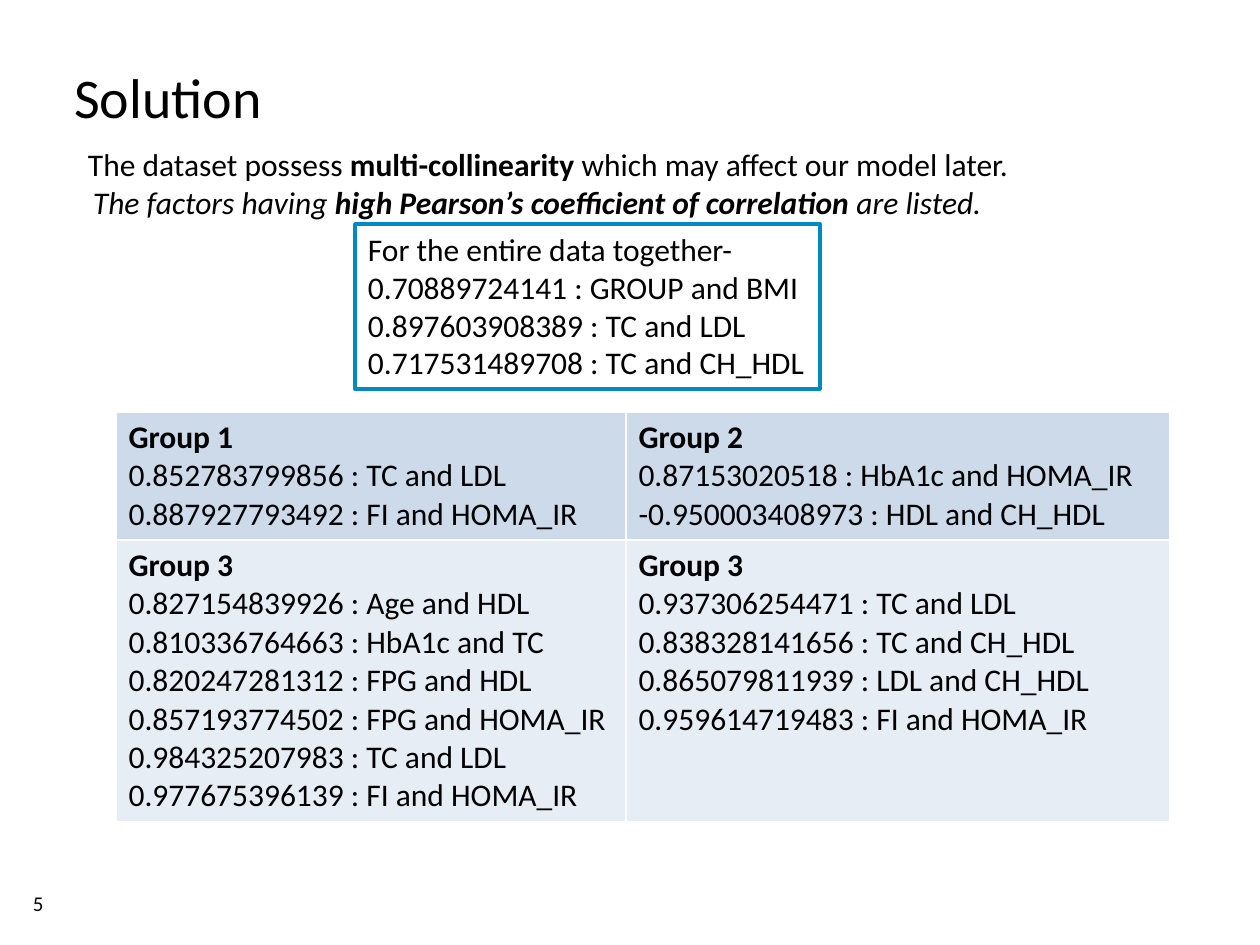
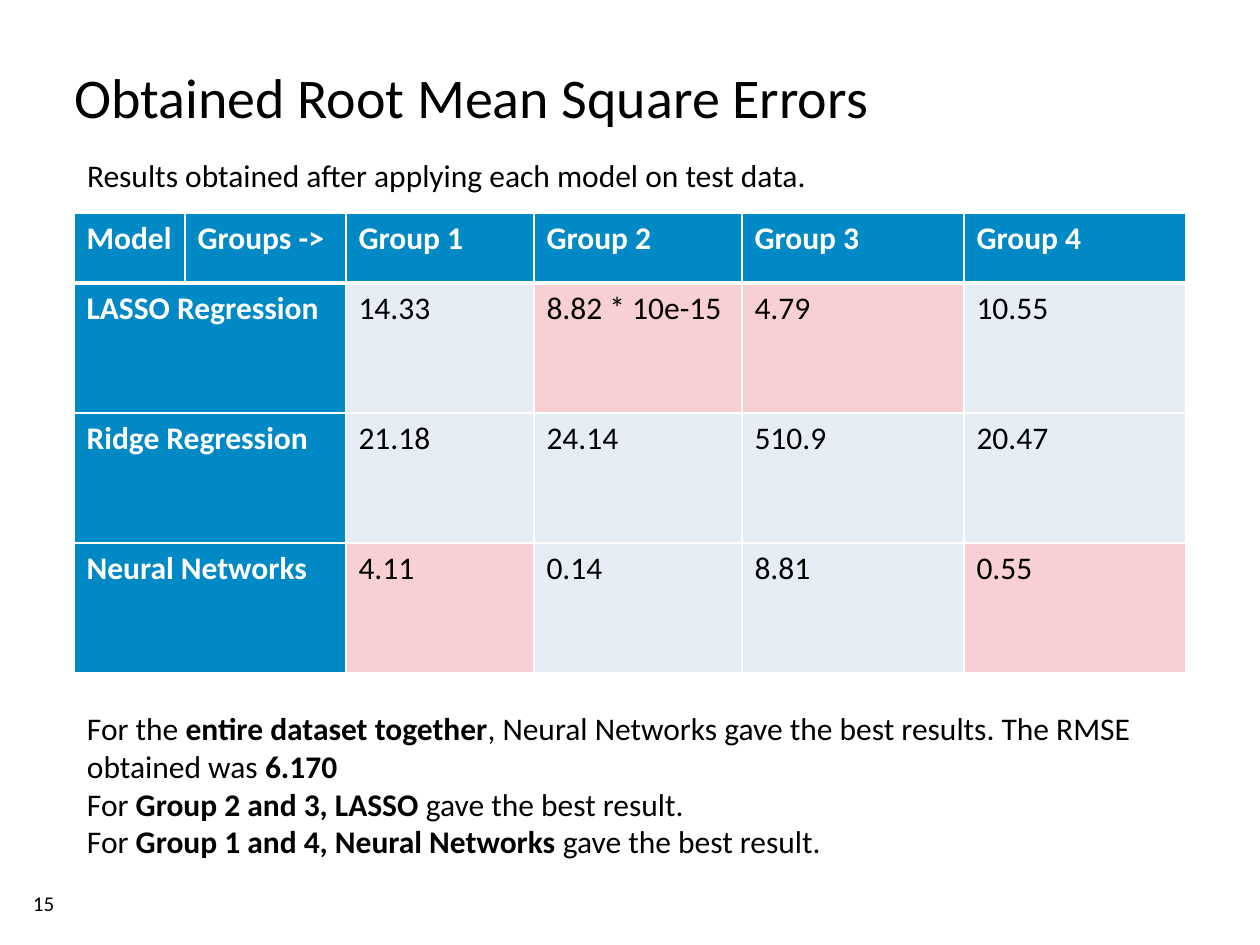
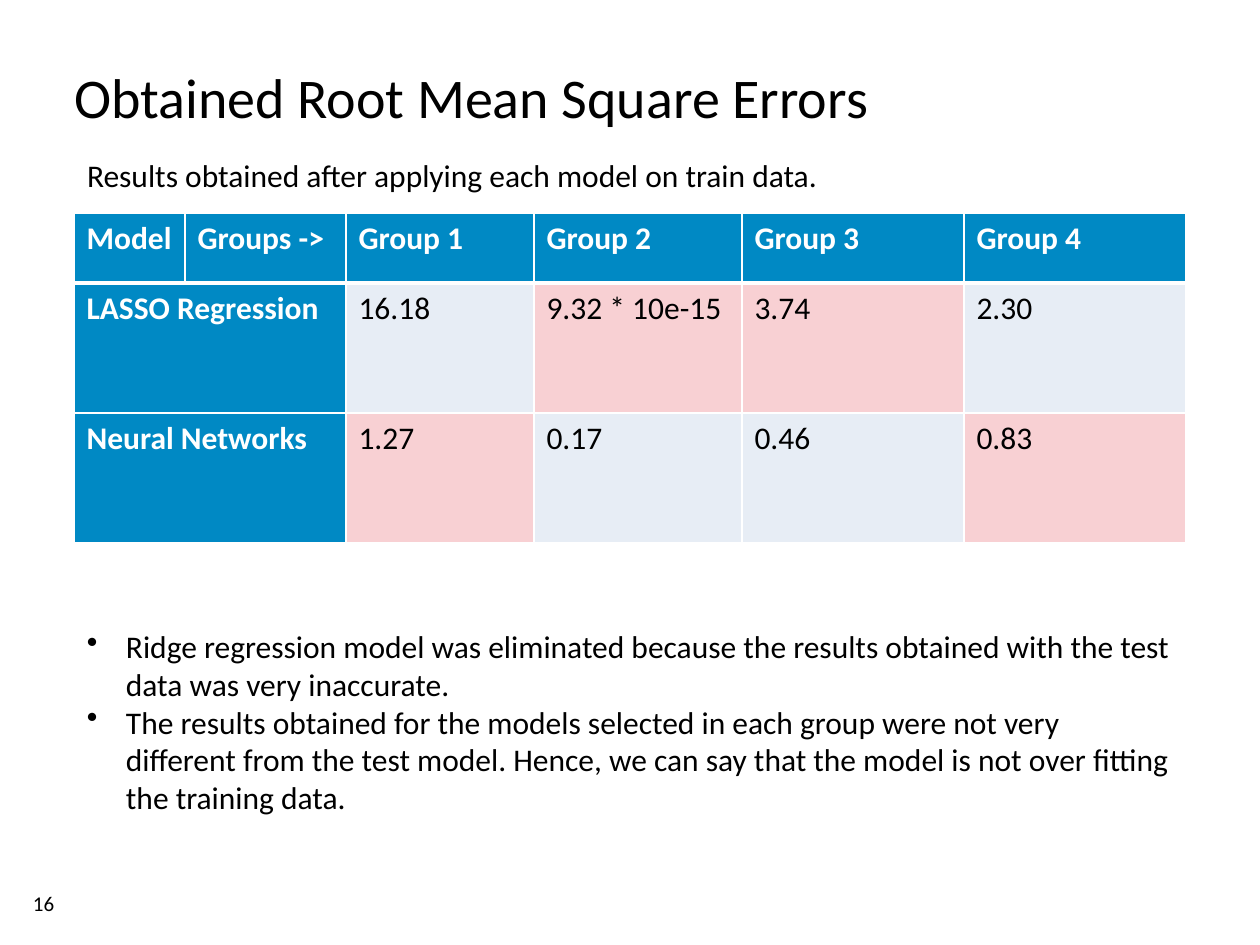
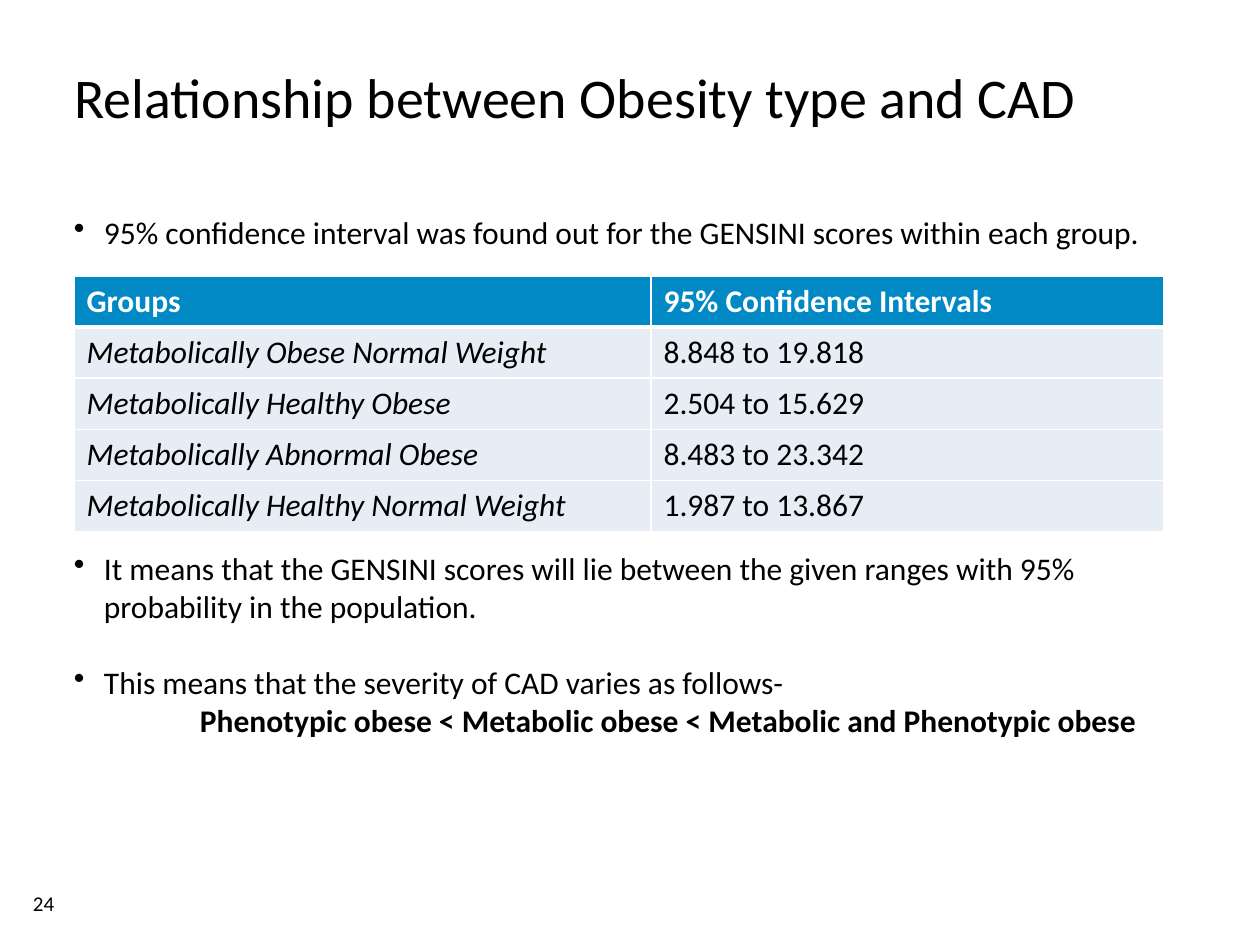
from lxml import etree
from pptx import Presentation, util as u
from pptx.dml.color import RGBColor
from pptx.enum import shapes, text
from pptx.oxml import ns

EMU_PER_PX = 914400 / 126
FONT = "Calibri"
BLACK, WHITE, BLUE = "000000", "FFFFFF", "0089C4"
BAND, PALE, PINK = "CCDAEA", "E7EDF5", "F8D0D3"
NO_INSET = (0, 0)
BOX_INSET = (13, 6)
LEFT, FULL_WIDTH = 74, 1111

# Double asterisks in any text switch bold on and off.
COLLINEARITY = [
    {"text": "The dataset possess **multi-collinearity** which may affect our model later.", "left": 30},
    {"text": "The factors having **high Pearson’s coefficient of correlation** are listed.",
     "left": 35, "italic": True},
]
ENTIRE_DATA = [
    "For the entire data together-",
    "0.70889724141 : GROUP and BMI",
    "0.897603908389 : TC and LDL",
    "0.717531489708 : TC and CH_HDL",
]
CORRELATIONS = [
    [["**Group 1**", "0.852783799856 : TC and LDL", "0.887927793492 : FI and HOMA_IR"],
     ["**Group 2**", "0.87153020518 : HbA1c and HOMA_IR", "-0.950003408973 : HDL and CH_HDL"]],
    [["**Group 3**", "0.827154839926 : Age and HDL", "0.810336764663 : HbA1c and TC",
      "0.820247281312 : FPG and HDL", "0.857193774502 : FPG and HOMA_IR",
      "0.984325207983 : TC and LDL", "0.977675396139 : FI and HOMA_IR"],
     ["**Group 3**", "0.937306254471 : TC and LDL", "0.838328141656 : TC and CH_HDL",
      "0.865079811939 : LDL and CH_HDL", "0.959614719483 : FI and HOMA_IR"]],
]

ERROR_HEADER = ["Model", "Groups ->", "Group 1", "Group 2", "Group 3", "Group 4"]
BEST_GROUPS = {"LASSO Regression": (2, 3), "Neural Networks": (1, 4)}
ERROR_SLIDES = [
    {
        "number": 15,
        "intro": "Results obtained after applying each model on test data.",
        "errors": {
            "LASSO Regression": ["14.33", "8.82 * 10e-15", "4.79", "10.55"],
            "Ridge Regression": ["21.18", "24.14", "510.9", "20.47"],
            "Neural Networks": ["4.11", "0.14", "8.81", "0.55"],
        },
        "remarks": [
            "For the **entire dataset together**, Neural Networks gave the best results. "
            "The RMSE obtained was **6.170**",
            "For **Group 2 and 3, LASSO** gave the best result.",
            "For **Group 1 and 4, Neural Networks** gave the best result.",
        ],
        "remarks_span": (703, 165),
    },
    {
        "number": 16,
        "intro": "Results obtained after applying each model on train data.",
        "errors": {
            "LASSO Regression": ["16.18", "9.32 * 10e-15", "3.74", "2.30"],
            "Neural Networks": ["1.27", "0.17", "0.46", "0.83"],
        },
        "remarks": [
            {"text": "Ridge regression model was eliminated because the results obtained "
                     "with the test data was very inaccurate.", "left": 39, "bullet": True},
            {"text": "The results obtained for the models selected in each group were not very "
                     "different from the test model. Hence, we can say that the model is not "
                     "over fitting the training data.", "left": 39, "bullet": True},
        ],
        "remarks_span": (621, 204),
    },
]

INTERVAL_INTRO = [{"text": "95% confidence interval was found out for the GENSINI scores "
                           "within each group.", "left": 30, "bullet": True}]
INTERVALS = [
    ("Groups", "95% Confidence Intervals"),
    ("Metabolically Obese Normal Weight", "8.848 to 19.818"),
    ("Metabolically Healthy Obese", "2.504 to 15.629"),
    ("Metabolically Abnormal Obese", "8.483 to 23.342"),
    ("Metabolically Healthy Normal Weight", "1.987 to 13.867"),
]
SEVERITY = [
    {"text": "It means that the GENSINI scores will lie between the given ranges with 95% "
             "probability in the population.", "left": 30, "bullet": True},
    {"text": "This means that the severity of CAD varies as follows-",
     "left": 30, "bullet": True, "before": 22},
    {"text": "**Phenotypic obese < Metabolic obese < Metabolic and Phenotypic obese**", "left": 126},
]


def px(length):
    return u.Emu(round(length * EMU_PER_PX))


def rgb(value):
    return RGBColor.from_string(value)


def set_all(target, values):
    for name, value in values.items():
        setattr(target, name, value)


def write(frame, paragraphs, size=18, color=BLACK):
    """Fill a text frame; each paragraph is a string or a dict of text and format."""
    for index, item in enumerate(paragraphs):
        entry = {"text": item} if isinstance(item, str) else item
        paragraph = frame.paragraphs[0] if index == 0 else frame.add_paragraph()
        set_all(paragraph, {"alignment": text.PP_ALIGN.LEFT,
                            "space_before": u.Pt(entry.get("before", 0))})
        left = entry.get("left", 0)
        properties = paragraph._p.get_or_add_pPr()
        properties.set("marL", str(px(left)))
        properties.set("indent", str(px(-left if entry.get("bullet") else 0)))
        if entry.get("bullet"):
            etree.SubElement(properties, ns.qn("a:buChar")).set("char", "•")
        for part, words in enumerate(entry["text"].split("**")):
            if words:
                run = paragraph.add_run()
                run.text = words
                set_all(run.font, {"name": FONT, "size": u.Pt(size), "bold": part % 2 == 1,
                                   "italic": entry.get("italic", False)})
                run.font.color.rgb = rgb(color)


def set_frame(frame, inset):
    side, top = map(px, inset)
    set_all(frame, {"word_wrap": True, "auto_size": text.MSO_AUTO_SIZE.NONE,
                    "vertical_anchor": text.MSO_ANCHOR.TOP,
                    "margin_left": side, "margin_right": side,
                    "margin_top": top, "margin_bottom": top})


def add_text(slide, box, paragraphs, inset=NO_INSET, size=18):
    frame = slide.shapes.add_textbox(*map(px, box)).text_frame
    set_frame(frame, inset)
    write(frame, paragraphs, size)


def add_slide(presentation, title, number):
    slide = presentation.slides.add_slide(presentation.slide_layouts[5])
    shape = slide.shapes.title
    names = ("left", "top", "width", "height")
    set_all(shape, dict(zip(names, map(px, (LEFT, 62, FULL_WIDTH, 139)))))
    set_frame(shape.text_frame, NO_INSET)
    write(shape.text_frame, [{"text": title, "before": 2}], size=32)
    add_text(slide, (33, 891, 71, 25), [str(number)], size=12)
    return slide


def add_table(slide, left, top, widths, heights):
    box = (left, top, sum(widths), sum(heights))
    table = slide.shapes.add_table(len(heights), len(widths), *map(px, box)).table
    set_all(table, {"first_row": False, "horz_banding": False})
    for column, width in zip(table.columns, widths):
        column.width = px(width)
    for row, height in zip(table.rows, heights):
        row.height = px(height)
    return table


def fill_cell(cell, paragraphs, fill, color=BLACK, top=1, bottom=1):
    """Write a cell with white borders; top and bottom are line widths in points."""
    write(cell.text_frame, paragraphs, color=color)
    properties = cell._tc.get_or_add_tcPr()
    for side, width in (("L", 1), ("R", 1), ("T", top), ("B", bottom)):
        line = etree.SubElement(properties, ns.qn(f"a:ln{side}"), w=str(u.Pt(width)))
        solid = etree.SubElement(line, ns.qn("a:solidFill"))
        etree.SubElement(solid, ns.qn("a:srgbClr"), val=WHITE)
    cell.fill.solid()
    cell.fill.fore_color.rgb = rgb(fill)


def fill_header(table, labels):
    for column, label in enumerate(labels):
        fill_cell(table.cell(0, column), [f"**{label}**"], BLUE, WHITE, bottom=3)


def top_border(row):
    return 3 if row == 1 else 1


def add_solution_slide(presentation):
    slide = add_slide(presentation, "Solution", 5)
    add_text(slide, (58, 145, FULL_WIDTH, 636), COLLINEARITY)
    box = slide.shapes.add_shape(shapes.MSO_SHAPE.RECTANGLE, *map(px, (355, 224, 465, 165)))
    box.shadow.inherit = False
    box.fill.solid()
    box.fill.fore_color.rgb = rgb(WHITE)
    box.line.color.rgb = rgb(BLUE)
    box.line.width = u.Pt(2)
    set_frame(box.text_frame, BOX_INSET)
    write(box.text_frame, ENTIRE_DATA)
    table = add_table(slide, 116, 412, (510, 544), (126, 276))
    for row, (groups, fill) in enumerate(zip(CORRELATIONS, (BAND, PALE))):
        for column, lines in enumerate(groups):
            fill_cell(table.cell(row, column), lines, fill)


def add_error_slide(presentation, content):
    slide = add_slide(presentation, "Obtained Root Mean Square Errors", content["number"])
    errors = content["errors"]
    table = add_table(slide, LEFT, 213, (111, 161, 188, 208, 222, 222), [70] + [130] * len(errors))
    fill_header(table, ERROR_HEADER)
    for row, (model, values) in enumerate(errors.items(), 1):
        top = top_border(row)
        table.cell(row, 0).merge(table.cell(row, 1))
        fill_cell(table.cell(row, 0), [f"**{model}**"], BLUE, WHITE, top)
        fill_cell(table.cell(row, 1), [], BLUE, WHITE, top)
        for group, value in enumerate(values, 1):
            fill = PINK if group in BEST_GROUPS.get(model, ()) else PALE
            fill_cell(table.cell(row, group + 1), [value], fill, top=top)
    add_text(slide, (LEFT, 150, 790, 50), [content["intro"]], BOX_INSET)
    top, height = content["remarks_span"]
    add_text(slide, (LEFT, top, FULL_WIDTH, height), content["remarks"], BOX_INSET)


def add_interval_slide(presentation):
    slide = add_slide(presentation, "Relationship between Obesity type and CAD", 24)
    add_text(slide, (LEFT, 213, FULL_WIDTH, 73), INTERVAL_INTRO)
    table = add_table(slide, LEFT, 276, (577, 513), [51] * len(INTERVALS))
    fill_header(table, INTERVALS[0])
    for row, (group, interval) in enumerate(INTERVALS[1:], 1):
        for column, entry in enumerate(({"text": group, "italic": True}, interval)):
            fill_cell(table.cell(row, column), [entry], PALE, top=top_border(row))
    add_text(slide, (LEFT, 549, FULL_WIDTH, 103), SEVERITY)


def main():
    presentation = Presentation()
    set_all(presentation, {"slide_width": px(1260), "slide_height": px(945)})
    add_solution_slide(presentation)
    for content in ERROR_SLIDES:
        add_error_slide(presentation, content)
    add_interval_slide(presentation)
    presentation.save("out.pptx")


if __name__ == "__main__":
    main()
